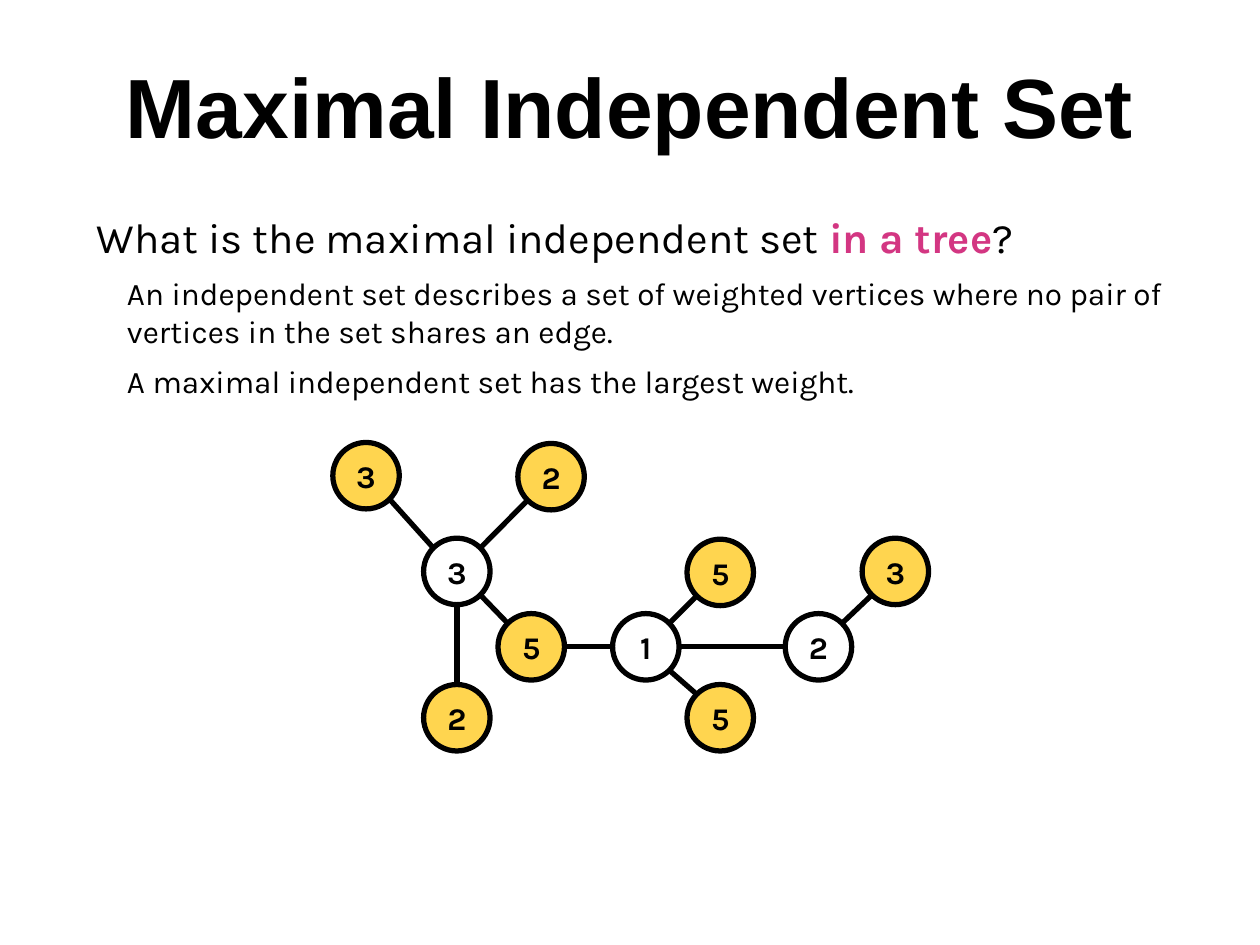
"""Build a slide on the maximal independent set of a weighted tree."""
from math import hypot

from lxml.etree import SubElement
from pptx import Presentation
from pptx.dml.color import RGBColor
from pptx.enum.shapes import MSO_CONNECTOR, MSO_SHAPE
from pptx.enum.text import MSO_ANCHOR, MSO_AUTO_SIZE, PP_ALIGN
from pptx.oxml.ns import qn
from pptx.util import Cm, Pt

BLACK, CHOSEN, ACCENT = "000000", "FFD54F", "D33682"
DIAMETER = 1.34

VERTICES = {
    "hub": (9.21, 11.52, 3, False),
    "hub left": (7.38, 9.59, 3, True),
    "hub right": (11.11, 9.61, 2, True),
    "hub below": (9.21, 14.47, 2, True),
    "bridge": (10.71, 13.04, 5, True),
    "center": (13.02, 13.04, 1, False),
    "center above": (14.52, 11.54, 5, True),
    "center below": (14.52, 14.47, 5, True),
    "branch": (16.5, 13.04, 2, False),
    "branch tip": (18.05, 11.52, 3, True),
}
EDGES = [
    ("hub", "hub left"), ("hub", "hub right"), ("hub", "hub below"),
    ("hub", "bridge"), ("bridge", "center"), ("center", "center above"),
    ("center", "center below"), ("center", "branch"), ("branch", "branch tip"),
]
STATEMENTS = [
    "An independent set describes a set of weighted vertices where no pair of "
    "vertices in the set shares an edge.",
    "A maximal independent set has the largest weight.",
]


def color(value):
    return RGBColor.from_string(value)


def sign(value):
    return (value > 0) - (value < 0)


class TreeSlide:
    def __init__(self, slide, font="Karla", heading_font="Arial", stroke=3):
        self.slide = slide
        self.font = font
        self.heading_font = heading_font
        self.stroke = Pt(stroke)

    def run(self, paragraph, words, size, bold=False, ink=BLACK, font=None):
        run = paragraph.add_run()
        run.text = words
        run.font.name = font or self.font
        run.font.size = Pt(size)
        run.font.bold = bold
        run.font.color.rgb = color(ink)

    def place(self, holder, left, top, width, height):
        holder.left, holder.top = Cm(left), Cm(top)
        holder.width, holder.height = Cm(width), Cm(height)
        frame = holder.text_frame
        frame.margin_left = frame.margin_right = Cm(0.25)
        frame.margin_top = frame.margin_bottom = Cm(0.25)
        frame.vertical_anchor = MSO_ANCHOR.TOP
        frame.auto_size = MSO_AUTO_SIZE.NONE
        frame.word_wrap = True
        return frame

    def title(self, words):
        frame = self.place(self.slide.shapes.title, 0, 0.84, 25.4, 3.17)
        heading = frame.paragraphs[0]
        heading.alignment = PP_ALIGN.CENTER
        self.run(heading, words, 48, bold=True, font=self.heading_font)

    def plain_paragraph(self, paragraph, indent, before):
        properties = paragraph._p.get_or_add_pPr()
        properties.set("marL", str(Cm(indent)))
        properties.set("indent", "0")
        SubElement(properties, qn("a:buNone"))
        paragraph.space_before = Pt(before)

    def body(self, question, statements):
        frame = self.place(self.slide.placeholders[1], 1.7, 4.01, 22.02, 15.04)
        lead = frame.paragraphs[0]
        self.plain_paragraph(lead, 0, 0)
        for words, bold, ink in question:
            self.run(lead, words, 24, bold, ink)
        for statement in statements:
            detail = frame.add_paragraph()
            detail.level = 1
            self.plain_paragraph(detail, 0.61, 7)
            self.run(detail, statement, 18)

    def vertex(self, x, y, weight, chosen):
        circle = self.slide.shapes.add_shape(
            MSO_SHAPE.OVAL, Cm(x - DIAMETER / 2), Cm(y - DIAMETER / 2),
            Cm(DIAMETER), Cm(DIAMETER))
        circle.shadow.inherit = False
        if chosen:
            circle.fill.solid()
            circle.fill.fore_color.rgb = color(CHOSEN)
        else:
            circle.fill.background()
        circle.line.color.rgb = color(BLACK)
        circle.line.width = self.stroke
        frame = circle.text_frame
        frame.vertical_anchor = MSO_ANCHOR.MIDDLE
        label = frame.paragraphs[0]
        label.alignment = PP_ALIGN.CENTER
        self.run(label, str(weight), 18, bold=True)

    def edge(self, start, end):
        (x1, y1), (x2, y2) = start[:2], end[:2]
        across, down = sign(x2 - x1), sign(y2 - y1)
        reach = DIAMETER / 2 / hypot(across, down)
        dx, dy = across * reach, down * reach
        link = self.slide.shapes.add_connector(
            MSO_CONNECTOR.STRAIGHT,
            Cm(x1 + dx), Cm(y1 + dy), Cm(x2 - dx), Cm(y2 - dy))
        link.line.color.rgb = color(BLACK)
        link.line.width = self.stroke
        SubElement(link._element.spPr, qn("a:effectLst"))


def main():
    deck = Presentation()
    deck.slide_width, deck.slide_height = Cm(25.4), Cm(19.05)
    page = TreeSlide(deck.slides.add_slide(deck.slide_layouts[1]))
    page.title("Maximal Independent Set")
    page.body(
        [("What is the maximal independent set ", False, BLACK),
         ("in a tree", True, ACCENT),
         ("?", False, BLACK)],
        STATEMENTS)
    for vertex in VERTICES.values():
        page.vertex(*vertex)
    for start, end in EDGES:
        page.edge(VERTICES[start], VERTICES[end])
    deck.save("out.pptx")


if __name__ == "__main__":
    main()
